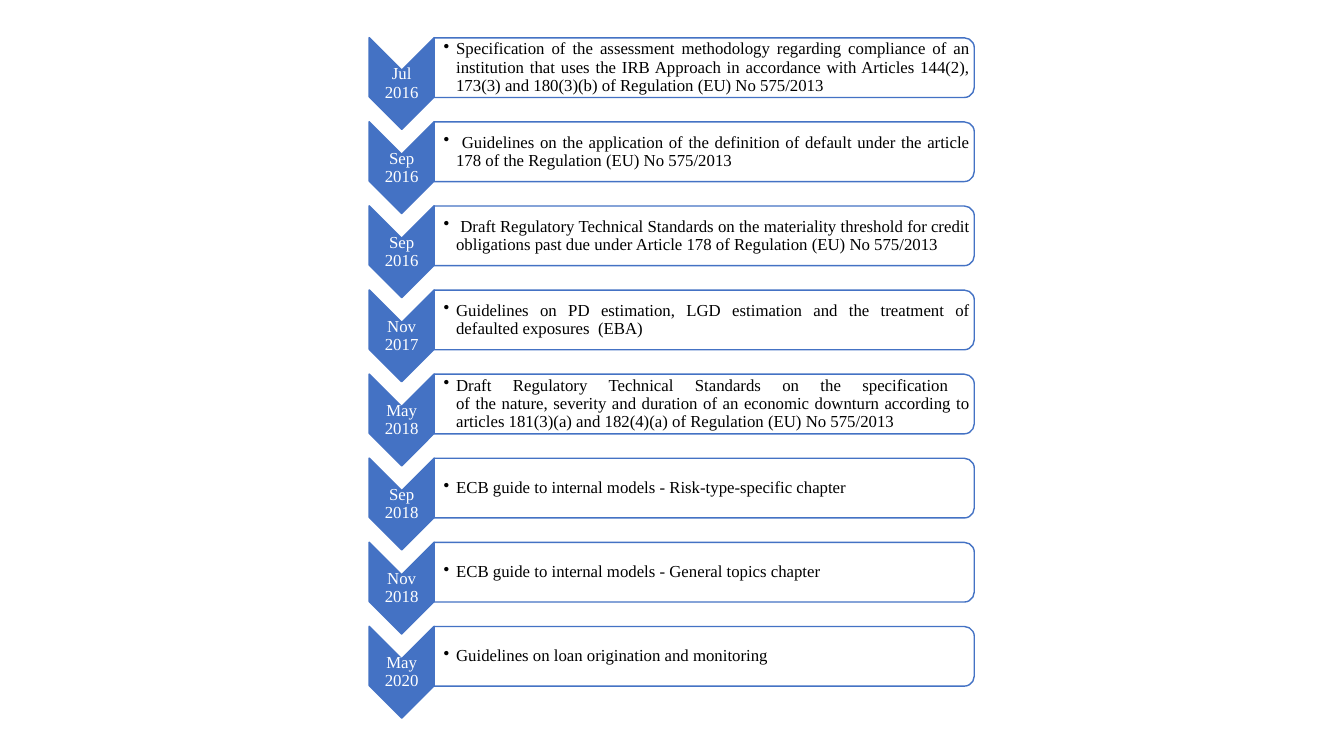
"""Build a vertical timeline of regulatory publications from 2016 to 2020."""
from lxml import etree
from pptx import Presentation
from pptx.dml import color
from pptx.enum import shapes, text
from pptx.oxml import ns
from pptx.util import Pt

MILESTONES = [
    ("Jul 2016", "Specification of the assessment methodology regarding compliance of an institution that uses "
                 "the IRB Approach in accordance with Articles 144(2), 173(3) and 180(3)(b) of Regulation (EU) "
                 "No 575/2013"),
    ("Sep 2016", " Guidelines on the application of the definition of default under the article 178 of the "
                 "Regulation (EU) No 575/2013"),
    ("Sep 2016", " Draft Regulatory Technical Standards on the materiality threshold for credit obligations "
                 "past due under Article 178 of Regulation (EU) No 575/2013"),
    ("Nov 2017", "Guidelines on PD estimation, LGD estimation and the treatment of defaulted exposures  (EBA)"),
    ("May 2018", "Draft Regulatory Technical Standards on the specification \vof the nature, severity and "
                 "duration of an economic downturn according to articles 181(3)(a) and 182(4)(a) of "
                 "Regulation (EU) No 575/2013"),
    ("Sep 2018", "ECB guide to internal models - Risk-type-specific chapter"),
    ("Nov 2018", "ECB guide to internal models - General topics chapter"),
    ("May 2020", "Guidelines on loan origination and monitoring"),
]
COLORS = {"accent": "4472C4", "card": "FFFFFF", "date": "FFFFFF", "body": "000000"}
FONT, SIZE = "Times New Roman", 12

PITCH = 60.07
CHEVRON_X, CHEVRON_Y, CHEVRON_LENGTH, CHEVRON_WIDTH = 286.9, 59.7, 65.6, 46.4
CARD_LEFT, CARD_Y, CARD_WIDTH, CARD_HEIGHT = 310.1, 48.3, 385.8, 42.6
DATE_HEIGHT = 19.4
BODY_WIDTH, BODY_HEIGHT = 383.6, 38.9
BULLET_INDENT = 9


def rgb(name):
    return color.RGBColor.from_string(COLORS[name])


def add_turned_shape(slide, kind, center_x, center_y, length, breadth, fill):
    shape = slide.shapes.add_shape(kind, Pt(center_x - length / 2), Pt(center_y - breadth / 2),
                                   Pt(length), Pt(breadth))
    shape.rotation = 90
    shape.shadow.inherit = False
    shape.fill.solid()
    shape.fill.fore_color.rgb = rgb(fill)
    shape.line.color.rgb = rgb("accent")
    shape.line.width = Pt(1)
    return shape


def add_label(slide, left, center_y, width, height, wording, ink, align, side_insets):
    label = slide.shapes.add_textbox(Pt(left), Pt(center_y - height / 2), Pt(width), Pt(height))
    frame = label.text_frame
    frame.word_wrap = True
    frame.vertical_anchor = text.MSO_ANCHOR.MIDDLE
    frame.margin_left, frame.margin_right = map(Pt, side_insets)
    frame.margin_top = frame.margin_bottom = Pt(0.6)
    frame.text = wording
    paragraph = frame.paragraphs[0]
    paragraph.alignment = align
    paragraph.line_spacing = 0.9
    for run in paragraph.runs:
        run.font.name, run.font.size = FONT, Pt(SIZE)
        run.font.color.rgb = rgb(ink)
    return paragraph


def add_bullet(paragraph):
    paragraph.level = 1
    properties = paragraph._p.get_or_add_pPr()
    properties.set("marL", str(Pt(BULLET_INDENT)))
    properties.set("indent", str(-Pt(BULLET_INDENT)))
    etree.SubElement(properties, ns.qn("a:buChar")).set("char", "•")


def add_milestone(slide, row, date, publication):
    chevron_y, card_y = CHEVRON_Y + row * PITCH, CARD_Y + row * PITCH
    add_turned_shape(slide, shapes.MSO_SHAPE.CHEVRON, CHEVRON_X, chevron_y,
                     CHEVRON_LENGTH, CHEVRON_WIDTH, "accent")
    add_label(slide, CHEVRON_X - CHEVRON_WIDTH / 2, chevron_y, CHEVRON_WIDTH, DATE_HEIGHT,
              date, "date", text.PP_ALIGN.CENTER, (6, 6))
    card = add_turned_shape(slide, shapes.MSO_SHAPE.ROUND_2_SAME_RECTANGLE, CARD_LEFT + CARD_WIDTH / 2,
                            card_y, CARD_HEIGHT, CARD_WIDTH, "card")
    fill_color = card.fill._xPr.find(ns.qn("a:solidFill"))[0]
    etree.SubElement(fill_color, ns.qn("a:alpha")).set("val", "90000")
    add_bullet(add_label(slide, CARD_LEFT, card_y, BODY_WIDTH, BODY_HEIGHT,
                         publication, "body", text.PP_ALIGN.JUSTIFY, (6.7, 0.6)))


def main():
    deck = Presentation()
    deck.slide_width, deck.slide_height = Pt(960), Pt(540)
    slide = deck.slides.add_slide(deck.slide_layouts[6])
    for row, (date, publication) in enumerate(MILESTONES):
        add_milestone(slide, row, date, publication)
    deck.save("out.pptx")


if __name__ == "__main__":
    main()
